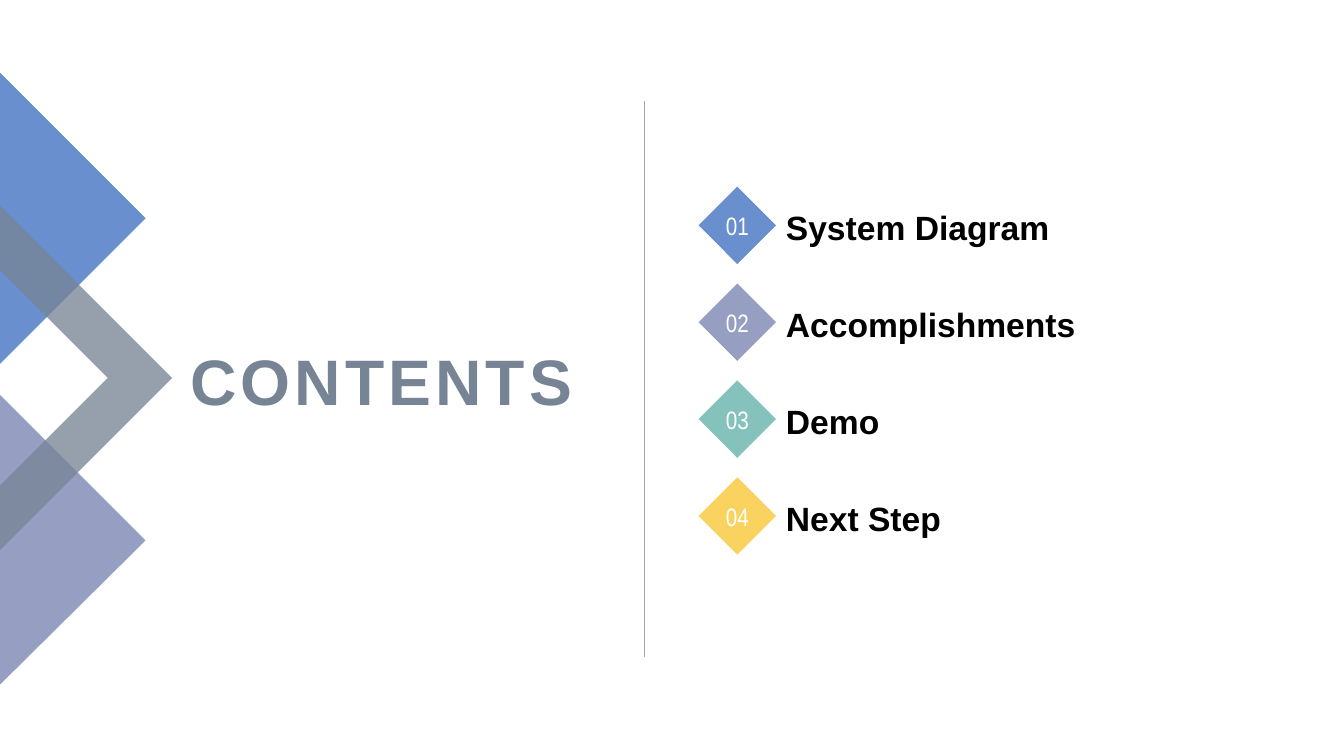
from lxml import etree
from pptx import Presentation
from pptx.dml.color import RGBColor
from pptx.enum.shapes import MSO_CONNECTOR, MSO_SHAPE
from pptx.enum.text import MSO_ANCHOR, MSO_AUTO_SIZE, PP_ALIGN
from pptx.oxml.ns import qn
from pptx.util import Pt

COLORS = {
    "blue": "698FCE", "lavender": "969EC2", "teal": "85C2BC", "yellow": "FAD25F",
    "slate": "778495", "divider": "A6A6A6", "white": "FFFFFF", "black": "000000",
}


def write_text(shape, text, color, anchor, alignment, font_format):
    frame = shape.text_frame
    frame.auto_size = MSO_AUTO_SIZE.NONE
    frame.word_wrap = True
    frame.vertical_anchor = anchor
    paragraph = frame.paragraphs[0]
    paragraph.alignment = alignment
    run = paragraph.add_run()
    run.text = text
    for name, value in font_format.items():
        setattr(run.font, name, value)
    run.font.color.rgb = RGBColor.from_string(COLORS[color])
    return run


def paint(shape, color):
    shape.shadow.inherit = False
    shape.fill.solid()
    shape.fill.fore_color.rgb = RGBColor.from_string(COLORS[color])
    shape.line.fill.background()


presentation = Presentation()
presentation.slide_width, presentation.slide_height = Pt(960), Pt(540)
slide = presentation.slides.add_slide(presentation.slide_layouts[5])
shapes = slide.shapes

# Overlapping decoration on the left edge, from back to front
decorations = [
    ("lavender", [(0, 282.2), (103.5, 385.7), (0, 489.2)]),
    ("blue", [(0, 52.5), (103.5, 156), (0, 259.5)]),
    ("slate", [(0, 147), (123, 270), (0, 393), (0, 346.8), (76.8, 270), (0, 193.2)]),
]
for color, points in decorations:
    builder = shapes.build_freeform(*points[0], scale=Pt(1))
    builder.add_line_segments(points[1:], close=True)
    decoration = builder.convert_to_shape()
    paint(decoration, color)

# The chevron, drawn last, is see-through
chevron_color = decoration.fill._xPr.find(qn("a:solidFill"))[0]
etree.SubElement(chevron_color, qn("a:alpha"), val="77000")

title = shapes.title
title.left, title.top, title.width, title.height = Pt(121.7), Pt(234.7), Pt(294.5), Pt(72.7)
title_run = write_text(title, "CONTENTS", "slate", MSO_ANCHOR.MIDDLE, PP_ALIGN.RIGHT,
                       {"name": "Arial", "size": Pt(45.9), "bold": True})
title_run.font._element.set("spc", "300")

divider = shapes.add_connector(MSO_CONNECTOR.STRAIGHT, Pt(460.2), Pt(72), Pt(460.2), Pt(469.3))
divider.line.color.rgb = RGBColor.from_string(COLORS["divider"])
divider.line.width = Pt(0.5)
etree.SubElement(divider._element.spPr, qn("a:effectLst"))

# Numbered agenda
DIAMOND_LEFT, DIAMOND_TOP, DIAMOND_SIZE, ROW_PITCH = 499, 133.3, 55.3, 69.2
LABEL_OFFSET, LABEL_HEIGHT = 23, 24
agenda = [
    ("System Diagram", "blue"),
    ("Accomplishments", "lavender"),
    ("Demo", "teal"),
    ("Next Step", "yellow"),
]
for row, (topic, color) in enumerate(agenda):
    top = DIAMOND_TOP + row * ROW_PITCH
    diamond = shapes.add_shape(MSO_SHAPE.DIAMOND, Pt(DIAMOND_LEFT), Pt(top),
                               Pt(DIAMOND_SIZE), Pt(DIAMOND_SIZE))
    paint(diamond, color)
    write_text(diamond, f"{row + 1:02d}", "white", MSO_ANCHOR.MIDDLE, PP_ALIGN.CENTER,
               {"name": "Arial Narrow", "size": Pt(18)})
    diamond.text_frame.word_wrap = False
    label = shapes.add_textbox(Pt(DIAMOND_LEFT + DIAMOND_SIZE), Pt(top + LABEL_OFFSET),
                               Pt(312), Pt(LABEL_HEIGHT))
    write_text(label, topic, "black", MSO_ANCHOR.BOTTOM, PP_ALIGN.LEFT,
               {"name": "Arial", "size": Pt(24), "bold": True})

presentation.save("out.pptx")
